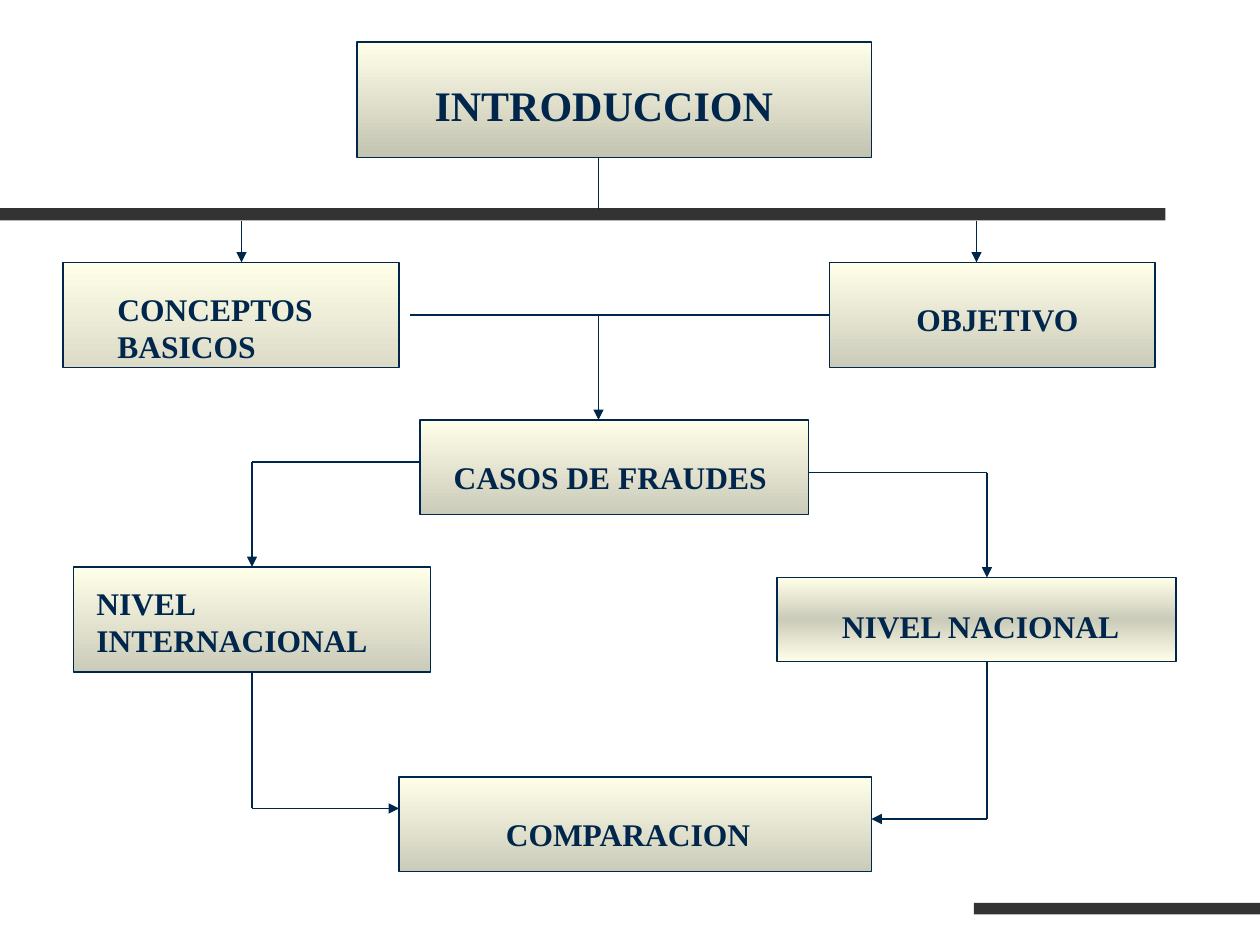
from copy import deepcopy
from itertools import pairwise

from lxml import etree
from pptx import Presentation
from pptx.dml.color import RGBColor
from pptx.enum import shapes, text
from pptx.oxml import ns
from pptx.util import Pt

NAVY = RGBColor(0x00, 0x26, 0x4C)
CHARCOAL = RGBColor(0x33, 0x33, 0x33)
CREAM = RGBColor(0xFF, 0xFF, 0xE9)
OLIVE = RGBColor(0xC3, 0xC3, 0xB2)
SAGE = RGBColor(0xCB, 0xCB, 0xB9)
SAND = RGBColor(0xDB, 0xDB, 0xC8)
LEFT, CENTER = text.PP_ALIGN.LEFT, text.PP_ALIGN.CENTER


class FlowChart:
    font_name = "Times New Roman"
    line_width = Pt(0.75)

    def __init__(self, page):
        self.page = page

    def rectangle(self, frame):
        box = self.page.shapes.add_shape(
            shapes.MSO_SHAPE.RECTANGLE, *map(Pt, frame))
        box.shadow.inherit = False
        return box

    def bar(self, frame):
        box = self.rectangle(frame)
        box.fill.solid()
        box.fill.fore_color.rgb = CHARCOAL
        box.line.fill.background()

    def gradient_box(self, frame, shade, mirrored=False):
        box = self.rectangle(frame)
        box.fill.gradient()
        box.fill.gradient_angle = 270
        first, last = box.fill.gradient_stops
        first.color.rgb, last.color.rgb = CREAM, shade
        first.position, last.position = 0, 1
        if mirrored:
            last.position = 0.5
            stops = box.element.find(".//" + ns.qn("a:gsLst"))
            end = deepcopy(stops[0])
            end.set("pos", "100000")
            stops.append(end)
        box.line.color.rgb = NAVY
        box.line.width = self.line_width
        return box

    def style_text(self, box, wording, align, size, space):
        frame = box.text_frame
        frame.word_wrap = True
        frame.auto_size = text.MSO_AUTO_SIZE.SHAPE_TO_FIT_TEXT
        frame.vertical_anchor = text.MSO_ANCHOR.TOP
        frame.text = wording
        para = frame.paragraphs[0]
        para.alignment = align
        para.space_before = Pt(space)
        para.font.name = self.font_name
        para.font.size = Pt(size)
        para.font.bold = True
        para.font.color.rgb = NAVY

    def title(self, wording, frame, box):
        title = self.page.shapes.title
        title.left, title.top, title.width, title.height = map(Pt, frame)
        box.element.addnext(title.element)
        self.style_text(title, wording, CENTER, 24, 15)

    def label(self, wording, frame, align):
        box = self.page.shapes.add_textbox(*map(Pt, frame))
        self.style_text(box, wording, align, 18, 11.2)

    def route(self, points, arrow=True):
        for start, end in pairwise(points):
            line = self.page.shapes.add_connector(
                shapes.MSO_CONNECTOR.STRAIGHT, *map(Pt, start + end))
            line.line.color.rgb = NAVY
            line.line.width = self.line_width
            properties = line.element.spPr
            if arrow and end == points[-1]:
                outline = properties.find(ns.qn("a:ln"))
                etree.SubElement(outline, ns.qn("a:tailEnd"), type="triangle")
            etree.SubElement(properties, ns.qn("a:effectLst"))


TOPICS = [
    ("CONCEPTOS BASICOS", (36, 150, 192, 60), SAND, False,
     (60, 162, 142.5, 50.4), LEFT),
    ("OBJETIVO", (474, 150, 186, 60), SAGE, False,
     (468, 168, 204, 29), CENTER),
    ("CASOS DE FRAUDES ", (240, 240, 222, 54), SAGE, False,
     (252, 258, 198, 29), CENTER),
    ("NIVEL INTERNACIONAL", (42, 324, 204, 60), SAGE, False,
     (48, 330, 192, 50.4), LEFT),
    ("NIVEL NACIONAL", (444, 330, 228, 48), SAGE, True,
     (474, 343.5, 198, 29), LEFT),
    ("COMPARACION", (228, 444, 270, 54), SAGE, False,
     (282, 462, 246, 29), LEFT),
]
PLAIN_LINES = [
    [(342, 90), (342, 120)],
    [(234, 180), (474, 180)],
]
ARROWS = [
    [(138, 126), (138, 150)],
    [(558, 126), (558, 150)],
    [(342, 180), (342, 240)],
    [(240, 264), (144, 264), (144, 324)],
    [(462, 270), (564, 270), (564, 330)],
    [(144, 384), (144, 462), (228, 462)],
    [(564, 378), (564, 468), (498, 468)],
]


def main():
    deck = Presentation()
    deck.slide_width, deck.slide_height = Pt(720), Pt(540)
    chart = FlowChart(deck.slides.add_slide(deck.slide_layouts[5]))

    chart.bar((0, 119, 666, 7))
    chart.bar((556.5, 516, 163.5, 6.5))
    heading = chart.gradient_box((204, 24, 294, 66), OLIVE)
    chart.title("INTRODUCCION ", (210, 42, 276, 36), heading)
    for wording, frame, shade, mirrored, label_frame, align in TOPICS:
        chart.gradient_box(frame, shade, mirrored)
        chart.label(wording, label_frame, align)
    for points in PLAIN_LINES:
        chart.route(points, arrow=False)
    for points in ARROWS:
        chart.route(points)

    deck.save("out.pptx")


if __name__ == "__main__":
    main()
